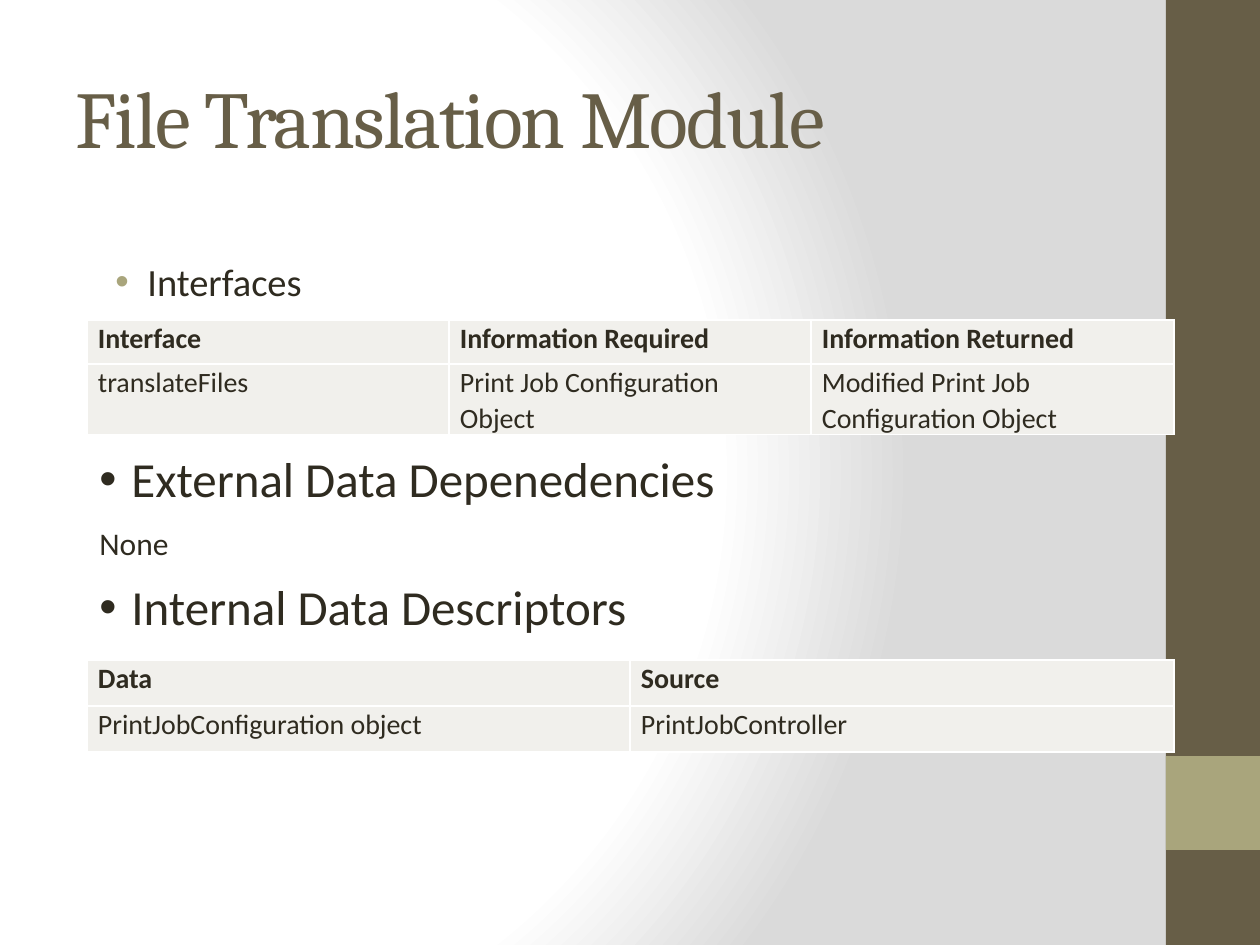
from dataclasses import dataclass

from lxml import etree
from pptx import Presentation
from pptx.dml.color import RGBColor
from pptx.enum.shapes import MSO_SHAPE
from pptx.enum.text import MSO_ANCHOR, PP_ALIGN
from pptx.oxml.ns import qn
from pptx.util import Emu, Pt

RECTANGLE = MSO_SHAPE.RECTANGLE
MIDDLE = MSO_ANCHOR.MIDDLE
LEFT, JUSTIFY = PP_ALIGN.LEFT, PP_ALIGN.JUSTIFY
EMU_PER_PX = 914400 / 126


@dataclass(frozen=True)
class Theme:
    brown: str = "675E47"
    olive: str = "A9A57C"
    ink: str = "2F2B20"
    cell: str = "F1F0EC"
    white: str = "FFFFFF"
    grey: str = "DADADA"
    heading_font: str = "Cambria"
    body_font: str = "Calibri"
    title: int = 46
    section: int = 28
    interfaces: int = 22
    note: int = 18
    table: int = 16


THEME = Theme()


def px(length):
    return Emu(round(length * EMU_PER_PX))


def apply(target, formats):
    for name, value in formats.items():
        setattr(target, name, value)


def add_child(parent, tag, **attributes):
    child = etree.SubElement(parent, qn(tag))
    for name, value in attributes.items():
        child.set(name, str(value))
    return child


def add_solid(parent, color):
    add_child(add_child(parent, "a:solidFill"), "a:srgbClr", val=color)


def set_font(paragraph, size, color=THEME.ink, face=THEME.body_font, bold=False):
    apply(paragraph.runs[0].font, {"name": face, "size": Pt(size), "bold": bold})
    paragraph.runs[0].font.color.rgb = RGBColor.from_string(color)


def add_background(slide):
    slide.background.fill.gradient()
    gradient = slide.element.find(".//" + qn("a:gradFill"))
    for child in list(gradient):
        gradient.remove(child)
    stops = add_child(gradient, "a:gsLst")
    for percent, color in ((0, THEME.white), (75, THEME.white), (100, THEME.grey)):
        stop = add_child(stops, "a:gs", pos=percent * 1000)
        add_child(stop, "a:srgbClr", val=color)
    circle = add_child(gradient, "a:path", path="circle")
    add_child(circle, "a:fillToRect", l=20000, t=50000, r=100000, b=50000)


def add_sidebar(slide, left, top, width, height):
    accent_top = top + height * 4 // 5
    for band_top, band_height, color in (
        (top, height, THEME.brown),
        (accent_top, width, THEME.olive),
    ):
        band = slide.shapes.add_shape(
            RECTANGLE, px(left), px(band_top), px(width), px(band_height)
        )
        band.shadow.inherit = False
        band.fill.solid()
        band.fill.fore_color.rgb = RGBColor.from_string(color)
        band.line.fill.background()


def add_text(slide, box, text):
    frame = slide.shapes.add_textbox(*map(px, box)).text_frame
    frame.word_wrap = True
    frame.paragraphs[0].text = text
    return frame


def add_title(slide, box, text):
    frame = add_text(slide, box, text)
    frame.vertical_anchor = MIDDLE
    title = frame.paragraphs[0]
    set_font(title, THEME.title, THEME.brown, THEME.heading_font)
    title.runs[0].font._element.set("spc", "-100")


def add_bullet(slide, box, text, size, margin, spacing=1.0, bullet_color=THEME.ink):
    bullet = add_text(slide, box, text).paragraphs[0]
    bullet.line_spacing = spacing
    properties = bullet._p.get_or_add_pPr()
    properties.set("marL", str(px(margin)))
    properties.set("indent", str(-px(32)))
    color = add_child(properties, "a:buClr")
    add_child(color, "a:srgbClr", val=bullet_color)
    add_child(properties, "a:buFont", typeface="Arial")
    add_child(properties, "a:buChar", char="•")
    set_font(bullet, size)


def add_note(slide, box, text):
    set_font(add_text(slide, box, text).paragraphs[0], THEME.note)


def fill_cell(cell, text, alignment, bold):
    apply(cell, {"margin_left": px(11), "margin_right": px(11),
                 "margin_top": 0, "margin_bottom": 0})
    properties = cell._tc.get_or_add_tcPr()
    for side in ("a:lnL", "a:lnR", "a:lnT", "a:lnB"):
        add_solid(add_child(properties, side, w=Pt(1)), THEME.white)
    cell.fill.solid()
    cell.fill.fore_color.rgb = RGBColor.from_string(THEME.cell)
    paragraph = cell.text_frame.paragraphs[0]
    paragraph.text = text
    apply(paragraph, {"alignment": alignment, "line_spacing": 1.05,
                      "space_after": Pt(8)})
    set_font(paragraph, THEME.table, bold=bold)


def add_grid(slide, left, top, width, row_heights, rows, body_alignment):
    columns = len(rows[0])
    grid = slide.shapes.add_table(
        len(rows), columns, px(left), px(top), px(width), px(sum(row_heights))
    ).table
    apply(grid, {"first_row": False, "horz_banding": False})
    edges = [width * i // columns for i in range(columns + 1)]
    for column, start, end in zip(grid.columns, edges, edges[1:]):
        column.width = px(end - start)
    for r, (height, texts) in enumerate(zip(row_heights, rows)):
        grid.rows[r].height = px(height)
        for c, text in enumerate(texts):
            alignment = body_alignment if r else JUSTIFY
            fill_cell(grid.cell(r, c), text, alignment, bold=r == 0)


def add_interfaces(slide, left, top, width):
    add_bullet(slide, (left, top, width, 69), "Interfaces", THEME.interfaces,
               48, bullet_color=THEME.olive)
    rows = [
        ("Interface", "Information Required", "Information Returned"),
        ("translateFiles", "Print Job Configuration Object",
         "Modified Print Job Configuration Object"),
    ]
    add_grid(slide, left, top + 68, width, (44, 67), rows, LEFT)


def add_dependencies(slide, left, top, width):
    add_bullet(slide, (left, top, width, 69), "External Data Depenedencies",
               THEME.section, 32, 0.9)
    add_note(slide, (left, top + 69, 433, 50), "None")


def add_descriptors(slide, left, top, width):
    add_bullet(slide, (left, top, width, 69), "Internal Data Descriptors",
               THEME.section, 32, 0.9)
    rows = [
        ("Data", "Source"),
        ("PrintJobConfiguration object", "PrintJobController"),
    ]
    add_grid(slide, left, top + 83, width, (46, 46), rows, JUSTIFY)


def main():
    presentation = Presentation()
    apply(presentation, {"slide_width": px(1260), "slide_height": px(945)})
    slide = presentation.slides.add_slide(presentation.slide_layouts[6])
    add_background(slide)
    add_sidebar(slide, 1166, 0, 94, 945)
    add_title(slide, (63, 38, 1050, 157), "File Translation Module")
    add_interfaces(slide, 87, 252, 1087)
    add_dependencies(slide, 87, 449, 1087)
    add_descriptors(slide, 87, 577, 1087)
    presentation.save("out.pptx")


if __name__ == "__main__":
    main()
